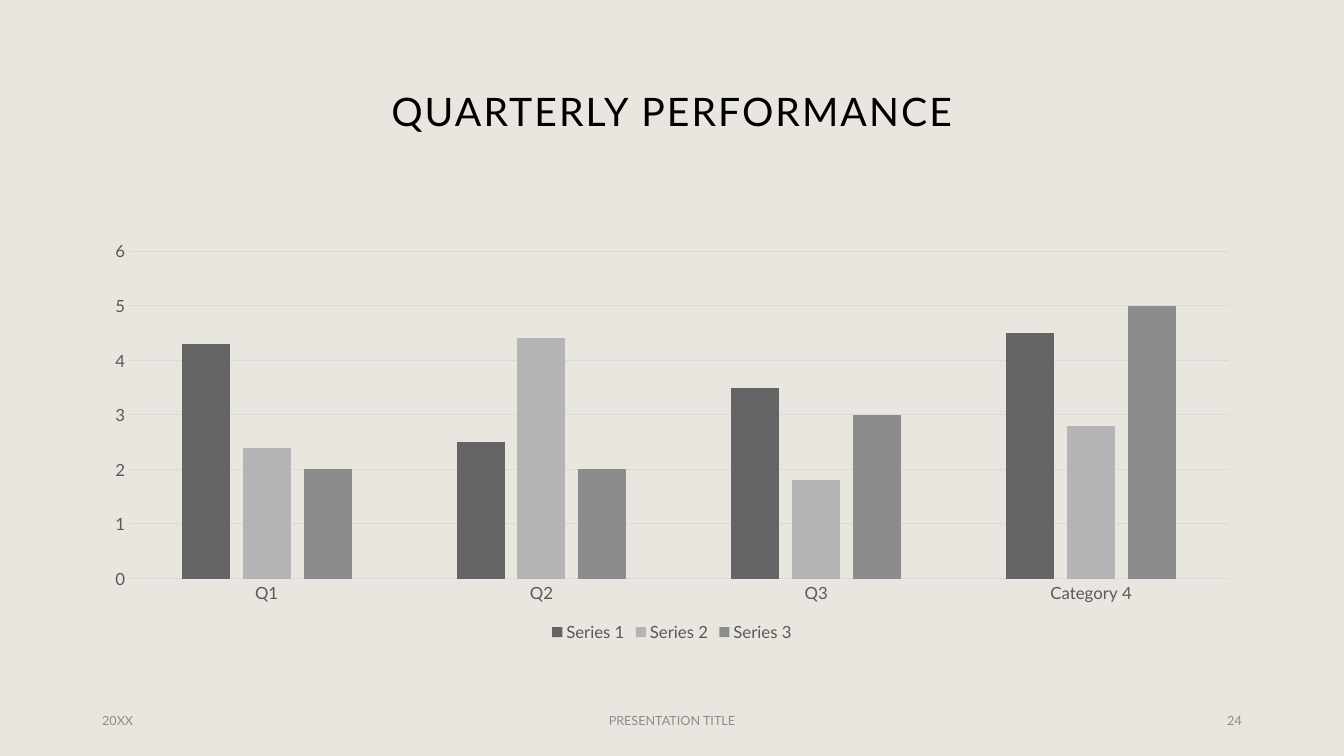
from dataclasses import dataclass

from pptx import Presentation
from pptx.chart.data import CategoryChartData
from pptx.dml.color import RGBColor
from pptx.enum.chart import XL_CHART_TYPE, XL_LEGEND_POSITION, XL_TICK_MARK
from pptx.enum.text import MSO_ANCHOR, PP_ALIGN
from pptx.util import Inches, Pt

BACKGROUND = RGBColor(0xE9, 0xE6, 0xDF)
BLACK = RGBColor(0x00, 0x00, 0x00)
DARK = RGBColor(0x64, 0x64, 0x64)
LIGHT = RGBColor(0xB4, 0xB4, 0xB4)
MEDIUM = RGBColor(0x8C, 0x8C, 0x8C)
LABEL = RGBColor(0x59, 0x59, 0x59)
GRID = RGBColor(0xD9, 0xD9, 0xD9)

FONT = "Lato"
WIDTH, HEIGHT = 13.33, 7.5
CONTENT_W = 11.5
MARGIN = (WIDTH - CONTENT_W) / 2
FOOTER_TOP, FOOTER_H = 6.95, 0.4
SIDE_W, MIDDLE_W = 3, 4.5


@dataclass
class Label:
    text: str
    left: float
    top: float
    width: float
    height: float
    align: PP_ALIGN
    size: float = 9
    color: RGBColor = MEDIUM
    tracking: float = 0
    line_spacing: float = 1.0


@dataclass
class Series:
    name: str
    values: tuple[float, ...]
    color: RGBColor


LABELS = [
    Label("QUARTERLY PERFORMANCE", MARGIN, 0.4, CONTENT_W, 1.45, PP_ALIGN.CENTER,
          size=28, color=BLACK, tracking=1.5, line_spacing=0.9),
    Label("20XX", MARGIN, FOOTER_TOP, SIDE_W, FOOTER_H, PP_ALIGN.LEFT),
    Label("PRESENTATION TITLE", (WIDTH - MIDDLE_W) / 2, FOOTER_TOP, MIDDLE_W, FOOTER_H,
          PP_ALIGN.CENTER),
    Label("24", WIDTH - MARGIN - SIDE_W, FOOTER_TOP, SIDE_W, FOOTER_H, PP_ALIGN.RIGHT),
]

CATEGORIES = ("Q1", "Q2", "Q3", "Category 4")
SERIES = [
    Series("Series 1", (4.3, 2.5, 3.5, 4.5), DARK),
    Series("Series 2", (2.4, 4.4, 1.8, 2.8), LIGHT),
    Series("Series 3", (2, 2, 3, 5), MEDIUM),
]


def set_all(target, formats: dict) -> None:
    for name, value in formats.items():
        setattr(target, name, value)


def set_font(font, size: float, color: RGBColor) -> None:
    set_all(font, {"name": FONT, "size": Pt(size), "bold": False})
    font.color.rgb = color


def set_line(line) -> None:
    line.width = Pt(0.75)
    line.color.rgb = GRID


def add_label(s, label: Label) -> None:
    sp = s.shapes.add_textbox(*map(Inches, (label.left, label.top, label.width, label.height)))
    tf = sp.text_frame
    set_all(tf, {"word_wrap": True, "vertical_anchor": MSO_ANCHOR.MIDDLE})
    p = tf.paragraphs[0]
    set_all(p, {"alignment": label.align, "line_spacing": label.line_spacing})
    r = p.add_run()
    r.text = label.text
    set_font(r.font, label.size, label.color)
    if label.tracking:
        r.font._element.set("spc", str(round(label.tracking * 100)))


def add_performance_chart(s) -> None:
    data = CategoryChartData()
    data.categories = CATEGORIES
    for series in SERIES:
        data.add_series(series.name, series.values)
    box = map(Inches, (MARGIN, 2.31, CONTENT_W, 4.1))
    chart = s.shapes.add_chart(XL_CHART_TYPE.COLUMN_CLUSTERED, *box, data).chart
    set_all(chart, {"has_title": False, "has_legend": True})
    set_font(chart.font, 10, BLACK)

    # Columns
    plot = chart.plots[0]
    set_all(plot, {"gap_width": 219, "overlap": -27, "vary_by_categories": False})
    for drawn, series in zip(plot.series, SERIES):
        drawn.format.fill.solid()
        drawn.format.fill.fore_color.rgb = series.color

    # Axes
    cat, val = chart.category_axis, chart.value_axis
    for axis in (cat, val):
        set_all(axis, {"major_tick_mark": XL_TICK_MARK.NONE,
                       "minor_tick_mark": XL_TICK_MARK.NONE})
        set_font(axis.tick_labels.font, 12, LABEL)
    set_all(val, {"minimum_scale": 0, "maximum_scale": 6, "major_unit": 1,
                  "has_major_gridlines": True})
    set_line(cat.format.line)
    set_line(val.major_gridlines.format.line)
    val.format.line.fill.background()

    # Legend
    set_all(chart.legend, {"position": XL_LEGEND_POSITION.BOTTOM, "include_in_layout": False})
    set_font(chart.legend.font, 12, LABEL)


def main() -> None:
    prs = Presentation()
    set_all(prs, {"slide_width": Inches(WIDTH), "slide_height": Inches(HEIGHT)})
    s = prs.slides.add_slide(prs.slide_layouts[6])
    s.background.fill.solid()
    s.background.fill.fore_color.rgb = BACKGROUND

    # Title and footer
    for label in LABELS:
        add_label(s, label)

    add_performance_chart(s)
    prs.save("out.pptx")


if __name__ == "__main__":
    main()
